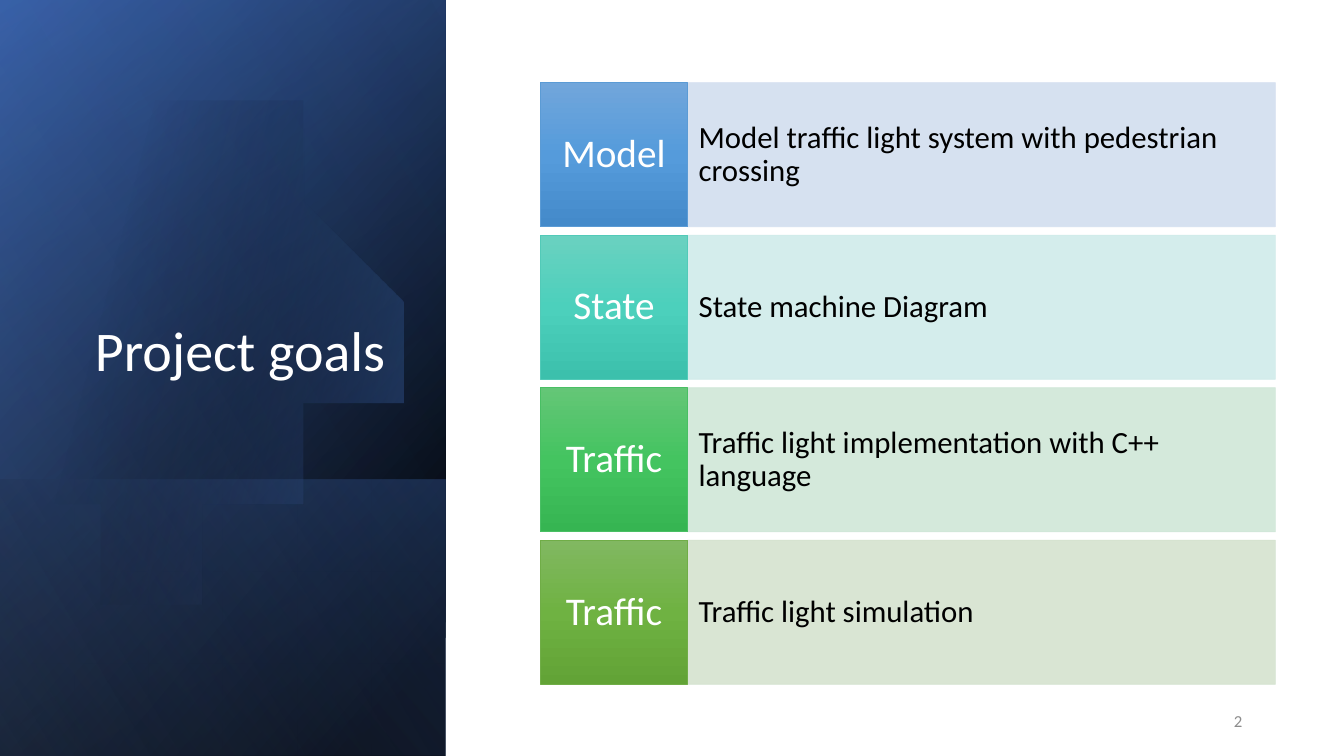
from lxml import etree
from pptx import Presentation
from pptx import util as u
from pptx.dml.color import RGBColor
from pptx.enum import shapes, text
from pptx.oxml import ns

FONT = "Calibri"
BLACK = RGBColor(0x00, 0x00, 0x00)
WHITE = RGBColor(0xFF, 0xFF, 0xFF)
GREY = RGBColor(0x8C, 0x8C, 0x8C)
NAVY = RGBColor(0x2F, 0x55, 0x97)
BLUE = RGBColor(0x44, 0x72, 0xC4)
PALE_BLUE = RGBColor(0x8F, 0xAA, 0xDC)

GOALS = [
    ("Model", "Model traffic light system with pedestrian crossing",
     RGBColor(0xD2, 0xDE, 0xEF), RGBColor(0x5B, 0x9B, 0xD5),
     [RGBColor(0x71, 0xA6, 0xDB), RGBColor(0x55, 0x9B, 0xDB), RGBColor(0x44, 0x8A, 0xCA)]),
    ("State", "State machine Diagram",
     RGBColor(0xD0, 0xEC, 0xEA), RGBColor(0x52, 0xCA, 0xB8),
     [RGBColor(0x6A, 0xD1, 0xC0), RGBColor(0x4C, 0xD0, 0xBC), RGBColor(0x3C, 0xC0, 0xAC)]),
    ("Traffic", "Traffic light implementation with C++ language",
     RGBColor(0xD0, 0xE7, 0xD8), RGBColor(0x49, 0xBF, 0x64),
     [RGBColor(0x64, 0xC6, 0x77), RGBColor(0x44, 0xC4, 0x60), RGBColor(0x36, 0xB5, 0x52)]),
    ("Traffic", "Traffic light simulation",
     RGBColor(0xD5, 0xE3, 0xCF), RGBColor(0x70, 0xAD, 0x47),
     [RGBColor(0x81, 0xB8, 0x61), RGBColor(0x6F, 0xB2, 0x42), RGBColor(0x62, 0xA3, 0x36)]),
]

DISC_START = (1.49, 1.1)
DISC_CURVES = [
    [(2.46, 1.12), (3.35, 1.77), (3.63, 2.75)],
    [(3.98, 3.97), (3.28, 5.23), (2.07, 5.58)],
    [(1.31, 5.8), (0.53, 5.61), (-0.03, 5.14)],
    [(-0.15, 5.03)],
    [(-0.15, 1.75)],
    [(0, 1.61)],
    [(0.23, 1.42), (0.5, 1.28), (0.8, 1.19)],
    [(1.03, 1.13), (1.26, 1.1), DISC_START],
]


def set_alpha(color, opacity):
    """Give a colour element its opacity in percent."""
    etree.SubElement(color, ns.qn("a:alpha")).set("val", str(opacity * 1000))


def fill_gradient(shape, stops, angle):
    """Fill a shape with (position, colour, opacity) stops along a clockwise angle."""
    shape.fill.gradient()
    gradient = shape._element.spPr.find(ns.qn("a:gradFill"))
    stop_list = gradient.find(ns.qn("a:gsLst"))
    for old in list(stop_list):
        stop_list.remove(old)
    for position, color, opacity in stops:
        stop = etree.SubElement(stop_list, ns.qn("a:gs"), pos=str(position * 1000))
        set_alpha(etree.SubElement(stop, ns.qn("a:srgbClr"), val=str(color)), opacity)
    gradient.find(ns.qn("a:lin")).set("ang", str(angle * 60000))


def add_rectangle(page, left, top, width, height):
    """Add a rectangle without shadow, placed in inches."""
    shape = page.shapes.add_shape(shapes.MSO_SHAPE.RECTANGLE, *map(u.Inches, (left, top, width, height)))
    shape.shadow.inherit = False
    return shape


def write(box, wording, size, color, align, insets, anchor=text.MSO_ANCHOR.MIDDLE, spacing=0.9):
    """Write one formatted paragraph into a box with (left, top, right, bottom) insets."""
    frame = box.text_frame
    frame.word_wrap = True
    frame.vertical_anchor = anchor
    frame.margin_left, frame.margin_top, frame.margin_right, frame.margin_bottom = map(u.Inches, insets)
    frame.text = wording
    para = frame.paragraphs[0]
    para.alignment = align
    para.line_spacing = spacing
    para.font.name = FONT
    para.font.size = u.Pt(size)
    para.font.color.rgb = color


def add_panel(page, left, top, width, height, stops, angle):
    """Add a gradient panel turned a quarter and mirrored to cover the given box."""
    panel = add_rectangle(page, left + (width - height) / 2, top + (height - width) / 2, height, width)
    panel.rotation = 90
    panel._element.spPr.xfrm.set("flipH", "1")
    fill_gradient(panel, stops, angle)
    panel.line.fill.background()


def disc_points(steps=16):
    """Return the disc outline as points, with the curves sampled evenly."""
    points = [DISC_START]
    for segment in DISC_CURVES:
        if len(segment) == 1:
            points += segment
            continue
        corners = [points[-1], *segment]
        for step in range(1, steps + 1):
            t = step / steps
            weights = ((1 - t) ** 3, 3 * t * (1 - t) ** 2, 3 * t * t * (1 - t), t ** 3)
            points.append(tuple(sum(w * c[axis] for w, c in zip(weights, corners)) for axis in (0, 1)))
    return points


def add_disc(page, left, top):
    """Add the translucent disc, offset from the panel corner."""
    points = [(left + x, top + y) for x, y in disc_points()]
    builder = page.shapes.build_freeform(*points[0], scale=u.Inches(1))
    builder.add_line_segments(points[1:], close=True)
    disc = builder.convert_to_shape()
    disc.shadow.inherit = False
    fill_gradient(disc, [(29, BLACK, 0), (100, BLUE, 43)], 14)
    disc.line.fill.background()


def add_title_panel(page, left, top, width, height):
    """Build the dark title region in the given box."""
    whole = (left, top, width, height)
    add_panel(page, *whole, [(8, BLACK, 100), (100, NAVY, 100)], 50)
    add_panel(page, *whole, [(0, BLACK, 0), (99, BLUE, 46)], 30)
    add_panel(page, left, top + height - 2.74, width, 2.74, [(2, BLUE, 29), (100, BLACK, 30)], 130)
    add_disc(page, left, top)
    add_panel(page, *whole, [(0, BLACK, 0), (99, PALE_BLUE, 11)], 120)
    title = page.shapes.add_textbox(*map(u.Inches, (left + 0.64, top + 1.84, 3.41, 2.62)))
    write(title, "Project goals", 40, WHITE, text.PP_ALIGN.RIGHT, (0.1, 0.05, 0.23, 0.65),
          text.MSO_ANCHOR.BOTTOM)


def add_goals(page, left, top, width, height):
    """Build the evenly spaced goal rows in the given box."""
    row_height, label_width = 1.43, 1.46
    pitch = (height - row_height) / (len(GOALS) - 1)
    for index, (label, goal, tint, edge, shades) in enumerate(GOALS):
        row_top = top + index * pitch
        bar = add_rectangle(page, left + label_width, row_top, width - label_width, row_height)
        bar.fill.solid()
        bar.fill.fore_color.rgb = tint
        bar.line.color.rgb = tint
        bar.line.width = u.Pt(0.5)
        for color in bar._element.spPr.iter(ns.qn("a:srgbClr")):
            set_alpha(color, 90)
        write(bar, goal, 22, BLACK, text.PP_ALIGN.LEFT, (0.11, 0.36, 0.11, 0.36))
        tile = add_rectangle(page, left, row_top, label_width, row_height)
        fill_gradient(tile, [(pos, shade, 100) for pos, shade in zip((0, 50, 100), shades)], 90)
        tile.line.color.rgb = edge
        tile.line.width = u.Pt(0.5)
        write(tile, label, 28, WHITE, text.PP_ALIGN.CENTER, (0.08, 0.14, 0.08, 0.14))


def add_page_number(page, left, top, width, height):
    """Add the slide number in the given box."""
    number = page.shapes.add_textbox(*map(u.Inches, (left, top, width, height)))
    write(number, "2", 12, GREY, text.PP_ALIGN.RIGHT, (0.1, 0.05, 0.1, 0.05), spacing=1.0)


def main():
    """Build and save the project goals slide."""
    deck = Presentation()
    deck.slide_width, deck.slide_height = u.Inches(13.33), u.Inches(7.5)
    page = deck.slides.add_slide(deck.slide_layouts[6])
    add_title_panel(page, 0, 0, 4.42, 7.5)
    add_goals(page, 5.36, 0.82, 7.29, 5.97)
    add_page_number(page, 9.42, 6.95, 3, 0.4)
    deck.save("out.pptx")


if __name__ == "__main__":
    main()
